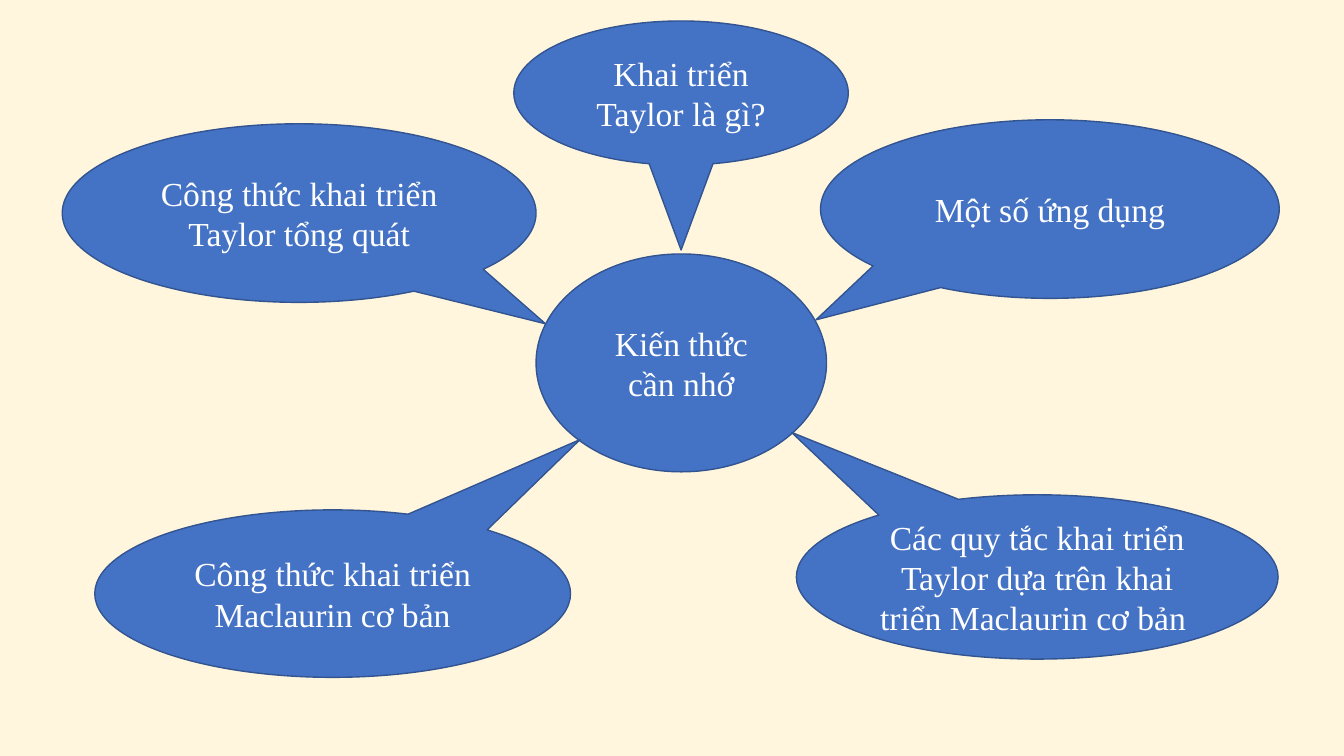
from pptx import Presentation
from pptx.dml.color import RGBColor
from pptx.enum import shapes, text
from pptx.util import Cm, Pt

CREAM = RGBColor(0xFF, 0xF6, 0xDD)
BLUE = RGBColor(0x44, 0x72, 0xC4)
NAVY = RGBColor(0x32, 0x54, 0x91)
WHITE = RGBColor(0xFF, 0xFF, 0xFF)
OVAL = shapes.MSO_SHAPE.OVAL
CALL = shapes.MSO_SHAPE.OVAL_CALLOUT

deck = Presentation()
deck.slide_width, deck.slide_height = Cm(33.87), Cm(19.05)
slide = deck.slides.add_slide(deck.slide_layouts[6])
slide.background.fill.solid()
slide.background.fill.fore_color.rgb = CREAM


def bubble(words, box, kind=CALL, tip=(), size=24, font="Times New Roman"):
    shape = slide.shapes.add_shape(kind, *[Cm(n) for n in box])
    for i, part in enumerate(tip):
        shape.adjustments[i] = part
    shape.shadow.inherit = False
    shape.fill.solid()
    shape.fill.fore_color.rgb = BLUE
    shape.line.color.rgb = NAVY
    shape.line.width = Pt(1)
    frame = shape.text_frame
    frame.word_wrap = True
    frame.vertical_anchor = text.MSO_ANCHOR.MIDDLE
    para = frame.paragraphs[0]
    para.alignment = text.PP_ALIGN.CENTER
    run = para.add_run()
    run.text = words
    run.font.name = font
    run.font.size = Pt(size)
    run.font.color.rgb = WHITE


bubble("Kiến thức cần nhớ", (13.51, 6.4, 7.32, 5.49), kind=OVAL)

topics = [
    ("Khai triển Taylor là gì?", (12.95, 0.53, 8.43, 3.63), (0, 1.09)),
    ("Công thức khai triển Taylor tổng quát", (1.57, 3.12, 11.94, 4.5), (0.52, 0.62)),
    ("Công thức khai triển Maclaurin cơ bản", (2.39, 12.85, 11.99, 4.22), (0.52, -0.92)),
    ("Các quy tắc khai triển Taylor dựa trên khai triển Maclaurin cơ bản ",
     (20.07, 12.47, 12.14, 4.14), (-0.51, -0.88)),
    ("Một số ứng dụng", (20.68, 3.02, 11.56, 4.5), (-0.51, 0.62)),
]
for words, box, tip in topics:
    bubble(words, box, tip=tip)

deck.save("out.pptx")
